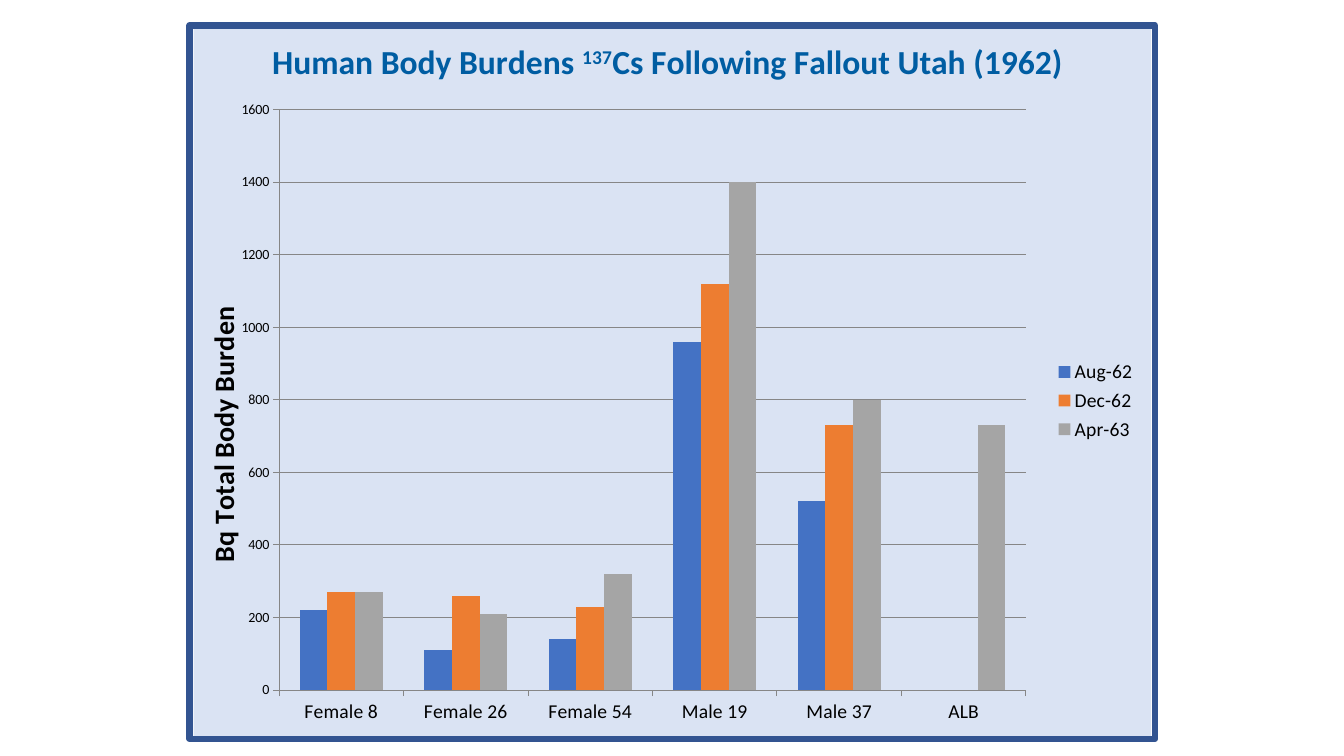
from dataclasses import dataclass
from typing import Optional

from lxml import etree
from pptx import Presentation
from pptx import util as u
from pptx.chart.data import CategoryChartData
from pptx.dml.color import RGBColor
from pptx.enum import chart as charts, shapes
from pptx.oxml.ns import qn

FONT = "Calibri"
GRID_GREY = "868686"
CATEGORIES = ["Female 8", "Female 26", "Female 54", "Male 19", "Male 37", "ALB"]


@dataclass
class Survey:
    month: str
    burdens: list[Optional[int]]
    colour: str


@dataclass
class Panel:
    left: float
    top: float
    width: float
    height: float
    fill: Optional[str] = None
    line: Optional[str] = None
    line_points: float = 0


SURVEYS = [
    Survey("Aug-62", [220, 110, 140, 960, 520, None], "4472C4"),
    Survey("Dec-62", [270, 260, 230, 1120, 730, None], "ED7D31"),
    Survey("Apr-63", [270, 210, 320, 1400, 800, 730], "A5A5A5"),
]
BACKGROUND = Panel(4.88, 0.64, 24.13, 17.98, fill="DAE3F3")
FRAME = Panel(4.78, 0.64, 24.33, 17.98, line="325491", line_points=4.5)


def colour(value: str) -> RGBColor:
    return RGBColor.from_string(value)


def draw_panel(slide, panel: Panel) -> None:
    box = [u.Cm(n) for n in (panel.left, panel.top, panel.width, panel.height)]
    shape = slide.shapes.add_shape(shapes.MSO_SHAPE.RECTANGLE, *box)
    shape.shadow.inherit = False
    if panel.fill:
        shape.fill.solid()
        shape.fill.fore_color.rgb = colour(panel.fill)
    else:
        shape.fill.background()
    if panel.line:
        shape.line.color.rgb = colour(panel.line)
        shape.line.width = u.Pt(panel.line_points)
    else:
        shape.line.fill.background()


def set_font(font, size: float, hex_colour: str = "000000", bold: bool = False) -> None:
    font.name = FONT
    font.size = u.Pt(size)
    font.bold = bold
    font.color.rgb = colour(hex_colour)


def place(element, after: Optional[str] = None, inner: bool = False, **fractions: float) -> None:
    """Give a chart part a manual layout, in fractions of the chart's size."""
    for old in element.findall(qn("c:layout")):
        element.remove(old)
    layout = etree.Element(qn("c:layout"))
    manual = etree.SubElement(layout, qn("c:manualLayout"))
    settings = {"layoutTarget": "inner"} if inner else {}
    settings |= {"xMode": "edge", "yMode": "edge"}
    settings |= {key: str(value) for key, value in fractions.items()}
    for key, value in settings.items():
        etree.SubElement(manual, qn(f"c:{key}")).set("val", value)
    if after:
        element.find(qn(after)).addnext(layout)
    else:
        element.insert(0, layout)


def format_titles(chart) -> None:
    chart.has_title = True
    paragraph = chart.chart_title.text_frame.paragraphs[0]
    for words in ("Human Body Burdens ", "137", "Cs Following Fallout Utah (1962)"):
        run = paragraph.add_run()
        run.text = words
        set_font(run.font, 24, "005DA2", bold=True)
        if words == "137":
            run.font._element.set("baseline", "30000")
    set_font(paragraph.font, 24, "005DA2", bold=True)
    place(chart.chart_title._element, "c:tx", x=0.1, y=0.05)

    axis_title = chart.value_axis.axis_title
    frame = axis_title.text_frame
    frame.text = "Bq Total Body Burden "
    set_font(frame.paragraphs[0].font, 20, bold=True)
    body = frame._txBody.find(qn("a:bodyPr"))
    body.set("rot", "-5400000")
    body.set("vert", "horz")
    place(axis_title._element, "c:tx", x=0.03, y=0.39)


def format_axes(chart) -> None:
    for axis, size in ((chart.category_axis, 14), (chart.value_axis, 10)):
        set_font(axis.tick_labels.font, size)
        axis.major_tick_mark = charts.XL_TICK_MARK.OUTSIDE
        axis.minor_tick_mark = charts.XL_TICK_MARK.NONE
        axis.format.line.color.rgb = colour(GRID_GREY)
        axis.format.line.width = u.Pt(0.75)
    axis = chart.value_axis
    axis.minimum_scale, axis.maximum_scale, axis.major_unit = 0, 1600, 200
    axis.has_major_gridlines = True
    axis.major_gridlines.format.line.color.rgb = colour(GRID_GREY)
    axis.major_gridlines.format.line.width = u.Pt(0.75)


def draw_chart(slide) -> None:
    data = CategoryChartData()
    data.categories = CATEGORIES
    for survey in SURVEYS:
        data.add_series(survey.month, survey.burdens)
    box = [u.Cm(n) for n in (4.24, 0, 25.4, 19.05)]
    chart = slide.shapes.add_chart(
        charts.XL_CHART_TYPE.COLUMN_CLUSTERED, *box, data).chart
    set_font(chart.font, 10)

    plot = chart.plots[0]
    plot.gap_width, plot.overlap = 150, 0
    plot.vary_by_categories = False
    for series, survey in zip(plot.series, SURVEYS):
        series.format.fill.solid()
        series.format.fill.fore_color.rgb = colour(survey.colour)

    format_axes(chart)
    format_titles(chart)
    chart.has_legend = True
    legend = chart.legend
    legend.position = charts.XL_LEGEND_POSITION.RIGHT
    legend.include_in_layout = False
    set_font(legend.font, 14)
    place(legend._element, "c:legendPos", x=0.87, y=0.47, w=0.1, h=0.12)
    plot_area = chart._chartSpace.chart.plotArea
    place(plot_area, inner=True, x=0.11, y=0.145, w=0.741, h=0.768)


def main() -> None:
    presentation = Presentation()
    presentation.slide_width = u.Cm(33.87)
    presentation.slide_height = u.Cm(19.05)
    slide = presentation.slides.add_slide(presentation.slide_layouts[6])
    draw_panel(slide, BACKGROUND)
    draw_chart(slide)
    draw_panel(slide, FRAME)
    presentation.save("out.pptx")


if __name__ == "__main__":
    main()
